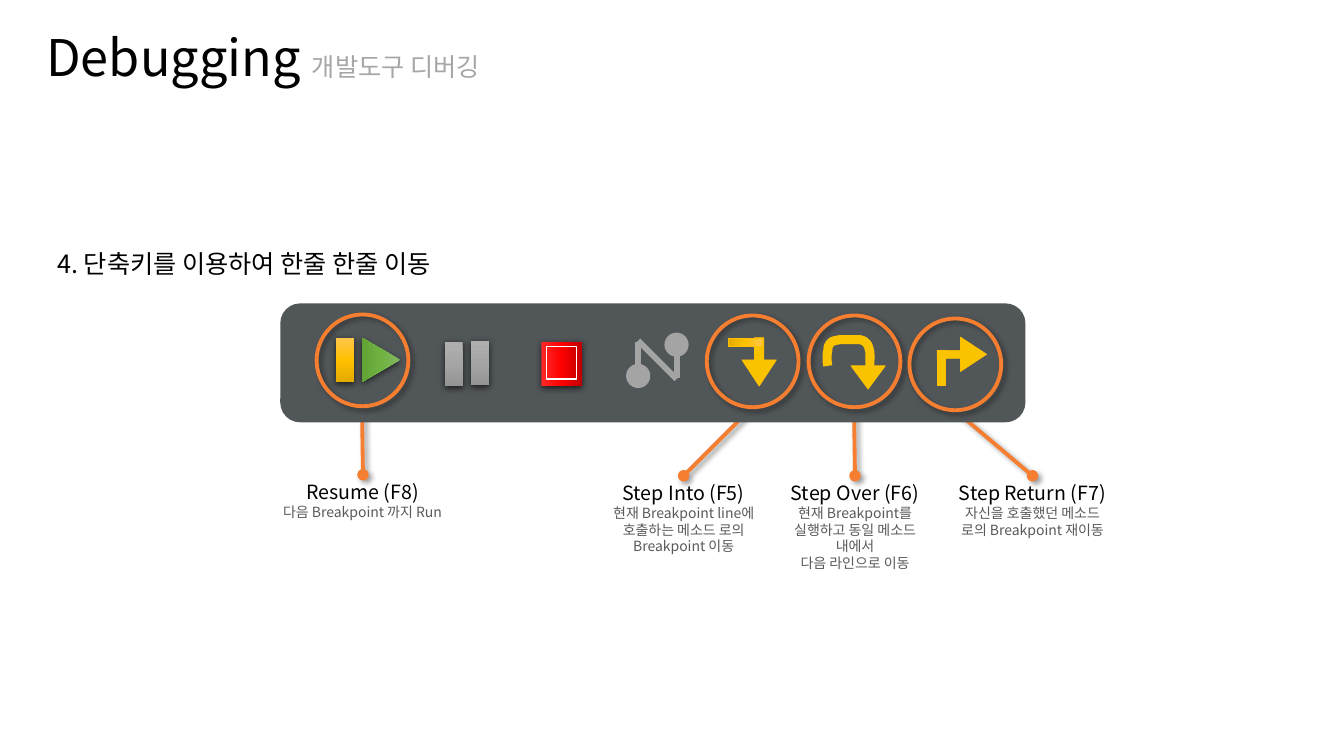
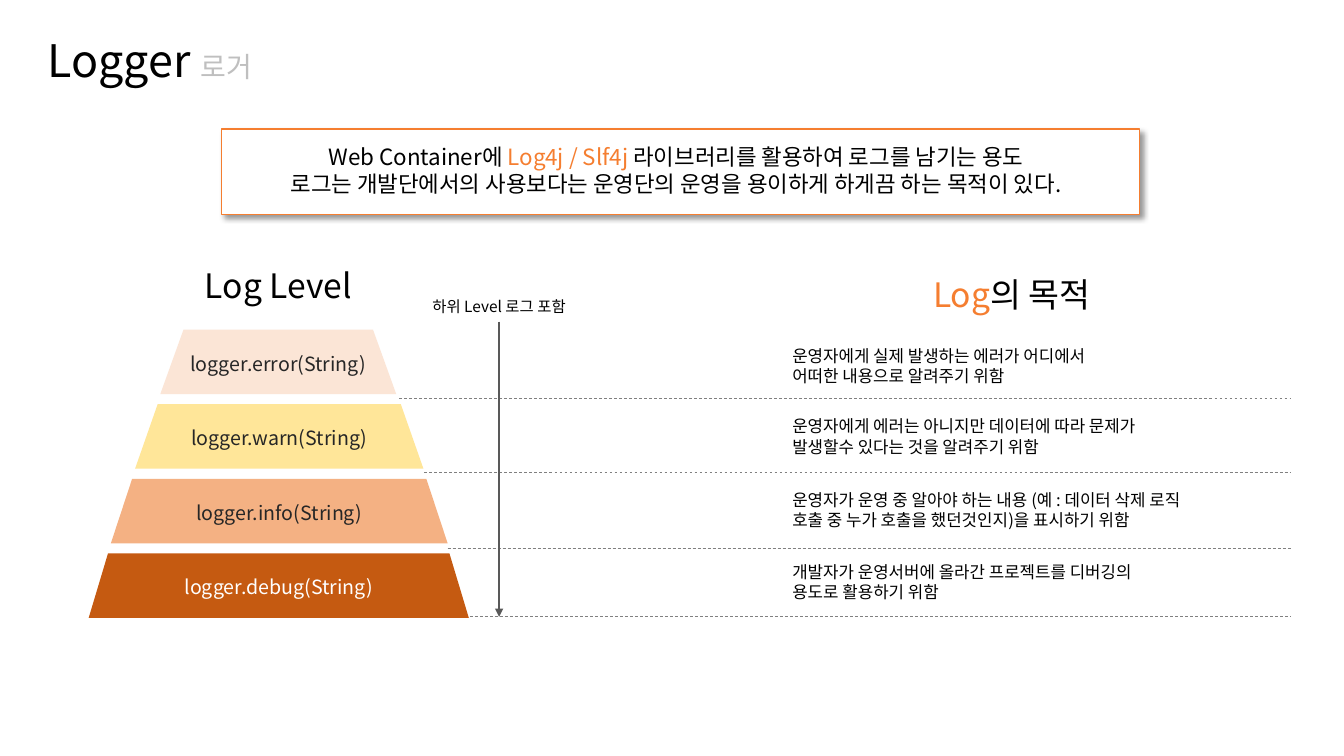
from copy import deepcopy

from lxml import etree
from pptx import Presentation
from pptx import util as u
from pptx.dml.color import RGBColor
from pptx.enum import dml, shapes, text
from pptx.oxml.ns import qn

PX = 9144  # EMU in one px, 100 px to the inch
FONT = "Noto Sans CJK KR"

BLACK = RGBColor(0x00, 0x00, 0x00)
WHITE = RGBColor(0xFF, 0xFF, 0xFF)
INK = RGBColor(0x26, 0x26, 0x26)
SLATE = RGBColor(0x59, 0x59, 0x59)
DASH_GRAY = RGBColor(0x80, 0x80, 0x80)
NODE_GRAY = RGBColor(0xA4, 0xA4, 0xA4)
SUBTITLE_GRAY = RGBColor(0xA6, 0xA6, 0xA6)
SUBTITLE_LIGHT = RGBColor(0xBF, 0xBF, 0xBF)
BAR_GRAY = RGBColor(0x51, 0x56, 0x58)
ORANGE = RGBColor(0xF5, 0x7E, 0x30)
YELLOW = RGBColor(0xFA, 0xC3, 0x00)
GOLD = RGBColor(0xFF, 0xC0, 0x00)
RUST = RGBColor(0xC5, 0x5A, 0x11)
PEACH = RGBColor(0xF4, 0xB1, 0x83)
CREAM = RGBColor(0xFF, 0xE6, 0x99)
BLUSH = RGBColor(0xFB, 0xE5, 0xD6)
GOLDS = [RGBColor(0xFF, 0xC6, 0x4B), GOLD, RGBColor(0xE3, 0xAB, 0x00)]
GREENS = [RGBColor(0x81, 0xB8, 0x61), RGBColor(0x6F, 0xB2, 0x42), RGBColor(0x62, 0xA3, 0x36)]
GRAYS = [RGBColor(0xAF, 0xAF, 0xAF), RGBColor(0xA5, 0xA5, 0xA5), RGBColor(0x93, 0x93, 0x93)]
REDS = [RGBColor(0xFF, 0x29, 0x29), RGBColor(0xFF, 0x00, 0x00), RGBColor(0xC0, 0x00, 0x00)]

# Opacity %, blur pt, distance pt, direction in degrees
SOFT_SHADOW = (40, 4, 3, 45)
ICON_SHADOW = (63, 4.5, 1.5, 90)

KIND = shapes.MSO_SHAPE
STRAIGHT = shapes.MSO_CONNECTOR.STRAIGHT
CENTER = text.PP_ALIGN.CENTER
LEFT = text.PP_ALIGN.LEFT


def write(frame, words, size=12, color=BLACK, align=LEFT, new_line=False):
    """Append a run to the frame's last paragraph, or to a new one."""
    frame.word_wrap = True
    paragraph = frame.add_paragraph() if new_line else frame.paragraphs[-1]
    paragraph.alignment = align
    run = paragraph.add_run()
    run.text = words
    run.font.size = u.Pt(size)
    run.font.name = FONT
    run.font.color.rgb = color
    etree.SubElement(run.font._element, qn("a:ea")).set("typeface", FONT)


def style(item, fill=None, angle=270, line=None, weight=1, dash=None, end=None, shadow=None):
    """Format a shape or connector; a list of three colours makes a gradient."""
    properties = item._element.spPr
    if isinstance(fill, list):
        item.fill.gradient()
        item.fill.gradient_angle = angle
        stops = properties.find(".//" + qn("a:gsLst"))
        stops.insert(1, deepcopy(stops[0]))
        for number, stop in enumerate(item.fill.gradient_stops):
            stop.position = number / 2
            stop.color.rgb = fill[number]
    elif fill is not None:
        item.fill.solid()
        item.fill.fore_color.rgb = fill
    elif hasattr(item, "fill"):
        item.fill.background()

    if line is None:
        item.line.fill.background()
    else:
        item.line.color.rgb = line
        item.line.width = u.Pt(weight)
    if dash:
        item.line.dash_style = dash
    if end:
        etree.SubElement(properties.find(qn("a:ln")), qn("a:tailEnd")).set("type", end)

    effects = etree.SubElement(properties, qn("a:effectLst"))
    if shadow:
        opacity, blur, distance, direction = shadow
        outer = etree.SubElement(
            effects, qn("a:outerShdw"), blurRad=str(u.Pt(blur)), dist=str(u.Pt(distance)),
            dir=str(direction * 60000), algn="ctr", rotWithShape="0")
        tint = etree.SubElement(outer, qn("a:srgbClr"), val="000000")
        etree.SubElement(tint, qn("a:alpha"), val=str(opacity * 1000))


prs = Presentation()
prs.slide_width = 1333 * PX
prs.slide_height = 750 * PX

pages = []
for heading, heading_size, subtitle, subtitle_size, subtitle_color, box in [
    ("Debugging ", 36, "개발도구 디버깅", 18, SUBTITLE_GRAY, (36, 21, 549, 71)),
    ("Logger ", 32, "로거", 20, SUBTITLE_LIGHT, (37, 27, 375, 64)),
]:
    page = prs.slides.add_slide(prs.slide_layouts[5])
    title = page.shapes.title
    title.left, title.top, title.width, title.height = [PX * n for n in box]
    title.text_frame.vertical_anchor = text.MSO_ANCHOR.TOP
    title.text_frame.auto_size = text.MSO_AUTO_SIZE.NONE
    write(title.text_frame, heading, size=heading_size)
    write(title.text_frame, subtitle, size=subtitle_size, color=subtitle_color)
    pages.append(page.shapes)
debugging, logger = pages

# Debugging: step heading and callouts
step = debugging.add_textbox(*[PX * n for n in (47, 241, 510, 40)])
write(step.text_frame, "4. 단축키를 이용하여 한줄 한줄 이동", size=18)

for leader_ends, label_box, command, descriptions in [
    ((359, 403, 360, 471), (225, 471, 269, 51), "Resume (F8)",
     ["다음 Breakpoint 까지 Run"]),
    ((746, 404, 678, 472), (592, 472, 172, 84), "Step Into (F5)",
     ["현재 Breakpoint line에 호출하는 메소드 로의 Breakpoint 이동"]),
    ((847, 404, 848, 472), (762, 472, 172, 84), "Step Over (F6)",
     ["현재 Breakpoint를 실행하고 동일 메소드 내에서", "다음 라인으로 이동"]),
    ((947, 407, 1024, 472), (938, 472, 172, 67), "Step Return (F7)",
     ["자신을 호출했던 메소드 로의 Breakpoint 재이동"]),
]:
    leader = debugging.add_connector(STRAIGHT, *[PX * n for n in leader_ends])
    style(leader, line=ORANGE, weight=2.75, end="oval", shadow=SOFT_SHADOW)
    label = debugging.add_textbox(*[PX * n for n in label_box]).text_frame
    write(label, command, size=14, align=CENTER)
    for description in descriptions:
        write(label, description, size=10, color=SLATE, align=CENTER, new_line=True)

# Debugging: toolbar
bar = debugging.add_shape(KIND.ROUNDED_RECTANGLE, *[PX * n for n in (278, 301, 739, 118)])
style(bar, fill=BAR_GRAY)

for ring_left, ring_top in [(314, 312), (701, 313), (802, 313), (902, 316)]:
    ring = debugging.add_shape(KIND.OVAL, *[PX * n for n in (ring_left, ring_top, 91, 91)])
    style(ring, line=ORANGE, weight=2.75, shadow=SOFT_SHADOW)

for node_ends in [(633, 339, 633, 363), (633, 338, 671, 376), (671, 341, 671, 375)]:
    node_link = debugging.add_connector(STRAIGHT, *[PX * n for n in node_ends])
    style(node_link, line=NODE_GRAY, weight=4.25)

# Bezier arc of the step-over arrow: start point, then two controls and an end per curve
arc_start = (821, 363)
arc_curves = [
    ((820, 358), (820, 352), (821, 348)),
    ((821, 344), (822, 342), (824, 340)),
    ((826, 338), (828, 338), (833, 337)),
    ((837, 337), (846, 337), (853, 337)),
    ((858, 338), (861, 341), (862, 346)),
    ((864, 350), (862, 364), (863, 367)),
]
arc_points = [arc_start]
for curve in arc_curves:
    knots = (arc_points[-1], *curve)
    for t in (0.2, 0.4, 0.6, 0.8, 1):
        weights = ((1 - t) ** 3, 3 * t * (1 - t) ** 2, 3 * t * t * (1 - t), t ** 3)
        arc_points.append(tuple(
            sum(w * knot[axis] for w, knot in zip(weights, knots)) for axis in (0, 1)))
arc_builder = debugging.build_freeform(*[PX * n for n in arc_start])
arc_builder.add_line_segments([(PX * x, PX * y) for x, y in arc_points[1:]], close=False)
style(arc_builder.convert_to_shape(), line=YELLOW, weight=6.5)

arrow_look = dict(fill=YELLOW, line=GOLD, weight=0.5)
for kind, box, turn, adjustments, look in [
    (KIND.ISOSCELES_TRIANGLE, (356, 338, 44, 38), 90, (), dict(fill=GREENS, shadow=ICON_SHADOW)),
    (KIND.RECTANGLE, (333, 335, 18, 44), 0, (), dict(fill=GOLDS, shadow=ICON_SHADOW)),
    (KIND.RECTANGLE, (441, 339, 18, 44), 0, (), dict(fill=GRAYS, shadow=ICON_SHADOW)),
    (KIND.RECTANGLE, (467, 338, 18, 44), 0, (), dict(fill=GRAYS, shadow=ICON_SHADOW)),
    (KIND.RECTANGLE, (537, 339, 40, 44), 0, (), dict(fill=REDS, angle=0, shadow=ICON_SHADOW)),
    (KIND.RECTANGLE, (542, 344, 30, 32), 0, (), dict(line=WHITE)),
    (KIND.OVAL, (621, 361, 24, 24), 0, (), dict(fill=NODE_GRAY)),
    (KIND.OVAL, (659, 330, 24, 24), 0, (), dict(fill=NODE_GRAY)),
    (KIND.DOWN_ARROW, (937, 327, 34, 49), 270, (0.23, 0.76), arrow_look),
    (KIND.RECTANGLE, (930, 348, 8, 34), 0, (), arrow_look),
    (KIND.DOWN_ARROW, (844, 363, 34, 23), 0, (0.26, 1.04), arrow_look),
    (KIND.DOWN_ARROW, (736, 335, 34, 48), 0, (0.27, 0.76), arrow_look),
    (KIND.RECTANGLE, (735, 323, 8, 34), 90, (), dict(fill=GOLDS, line=GOLD, weight=0.5)),
]:
    icon = debugging.add_shape(kind, *[PX * n for n in box])
    icon.rotation = turn
    for number, value in enumerate(adjustments):
        icon.adjustments[number] = value
    style(icon, **look)

# Logger: summary
summary_panel = logger.add_shape(KIND.RECTANGLE, *[PX * n for n in (220, 128, 910, 85)])
style(summary_panel, fill=WHITE, line=ORANGE, shadow=SOFT_SHADOW)
summary = logger.add_textbox(*[PX * n for n in (228, 137, 885, 64)]).text_frame
write(summary, "Web Container에 ", size=16, align=CENTER)
write(summary, "Log4j / Slf4j ", size=16, color=ORANGE, align=CENTER)
write(summary, "라이브러리를 활용하여 로그를 남기는 용도", size=16, align=CENTER)
write(summary, "로그는 개발단에서의 사용보다는 운영단의 운영을 용이하게 하게끔 하는 목적이 있다.",
      size=16, align=CENTER, new_line=True)

# Logger: column headings
for box, size, runs in [
    ((97, 258, 358, 50), 24, [("Log Level", BLACK)]),
    ((358, 290, 274, 29), 11, [("하위 Level 로그 포함", BLACK)]),
    ((801, 267, 405, 50), 24, [("Log", ORANGE), ("의 목적", BLACK)]),
]:
    column_heading = logger.add_textbox(*[PX * n for n in box]).text_frame
    for words, color in runs:
        write(column_heading, words, size=size, color=color, align=CENTER)

# Logger: pyramid levels with their purposes
levels = [
    ("error", 159, 234, 0.36, BLUSH, INK, 338, 390, (396, 395),
     ["운영자에게 실제 발생하는 에러가 어디에서", "어떠한 내용으로 알려주기 위함"]),
    ("warn", 134, 286, 0.35, CREAM, INK, 408, 390, (421, 469),
     ["운영자에게 에러는 아니지만 데이터에 따라 문제가", "발생할수 있다는 것을 알려주기 위함"]),
    ("info", 110, 334, 0.33, PEACH, INK, 481, 480, (444, 544),
     ["운영자가 운영 중 알아야 하는 내용 (예 : 데이터 삭제 로직",
      "호출 중 누가 호출을 했던것인지)을 표시하기 위함"]),
    ("debug", 88, 377, 0.3, RUST, WHITE, 552, 401, (466, 611),
     ["개발자가 운영서버에 올라간 프로젝트를 디버깅의", "용도로 활용하기 위함"]),
]
for row, (level, left, width, slant, fill, ink, purpose_top, purpose_width,
          (rule_left, rule_top), purpose_lines) in enumerate(levels):
    tier = logger.add_shape(KIND.TRAPEZOID, *[PX * n for n in (left, 327 + 74 * row, width, 64)])
    tier.adjustments[0] = slant
    style(tier, fill=fill)
    tier.text_frame.vertical_anchor = text.MSO_ANCHOR.MIDDLE
    write(tier.text_frame, f"logger.{level}(String)", size=14, color=ink, align=CENTER)

    purpose = logger.add_textbox(*[PX * n for n in (776, purpose_top, purpose_width, 50)])
    for number, words in enumerate(purpose_lines):
        write(purpose.text_frame, words, new_line=number > 0)

    rule = logger.add_connector(
        STRAIGHT, *[PX * n for n in (rule_left, rule_top, 1280, rule_top)])
    style(rule, line=DASH_GRAY, weight=0.5, dash=dml.MSO_LINE.DASH)

inclusion_arrow = logger.add_connector(STRAIGHT, *[PX * n for n in (495, 319, 495, 612)])
style(inclusion_arrow, line=SLATE, weight=1.75, end="triangle")

prs.save("out.pptx")
